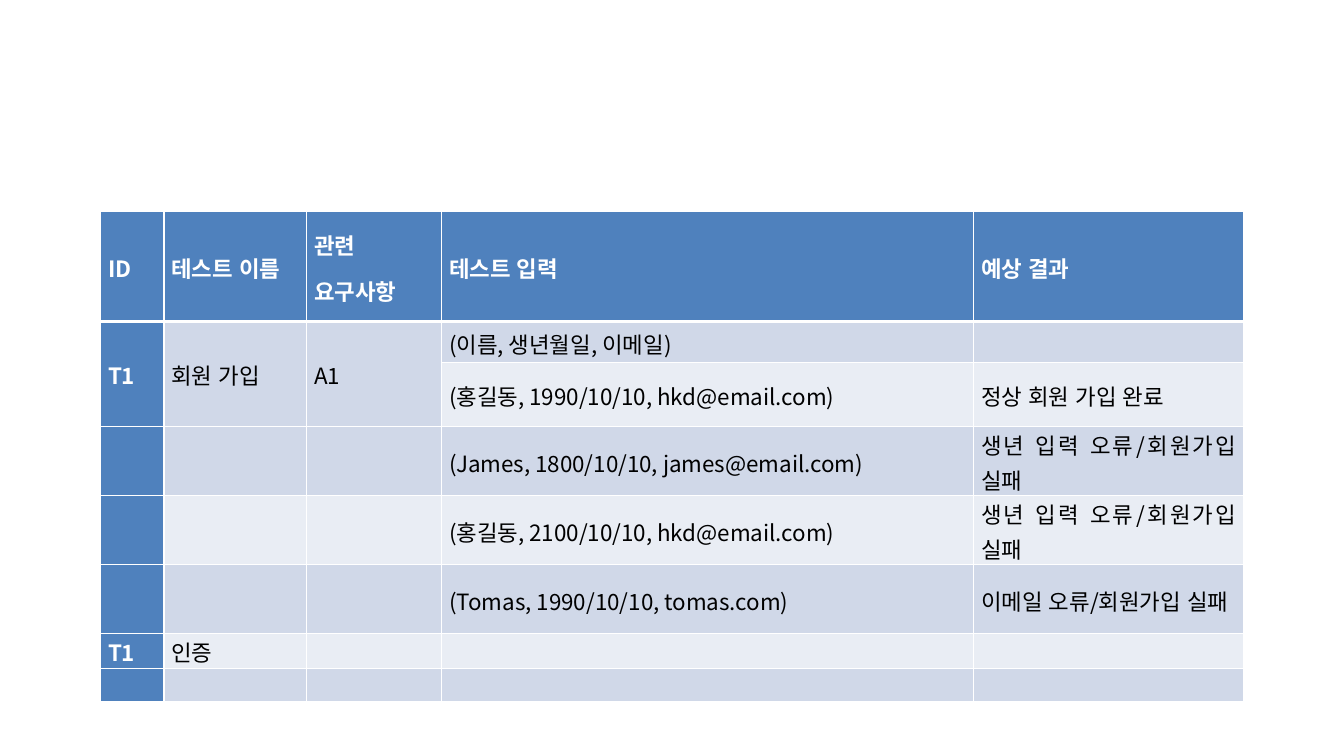
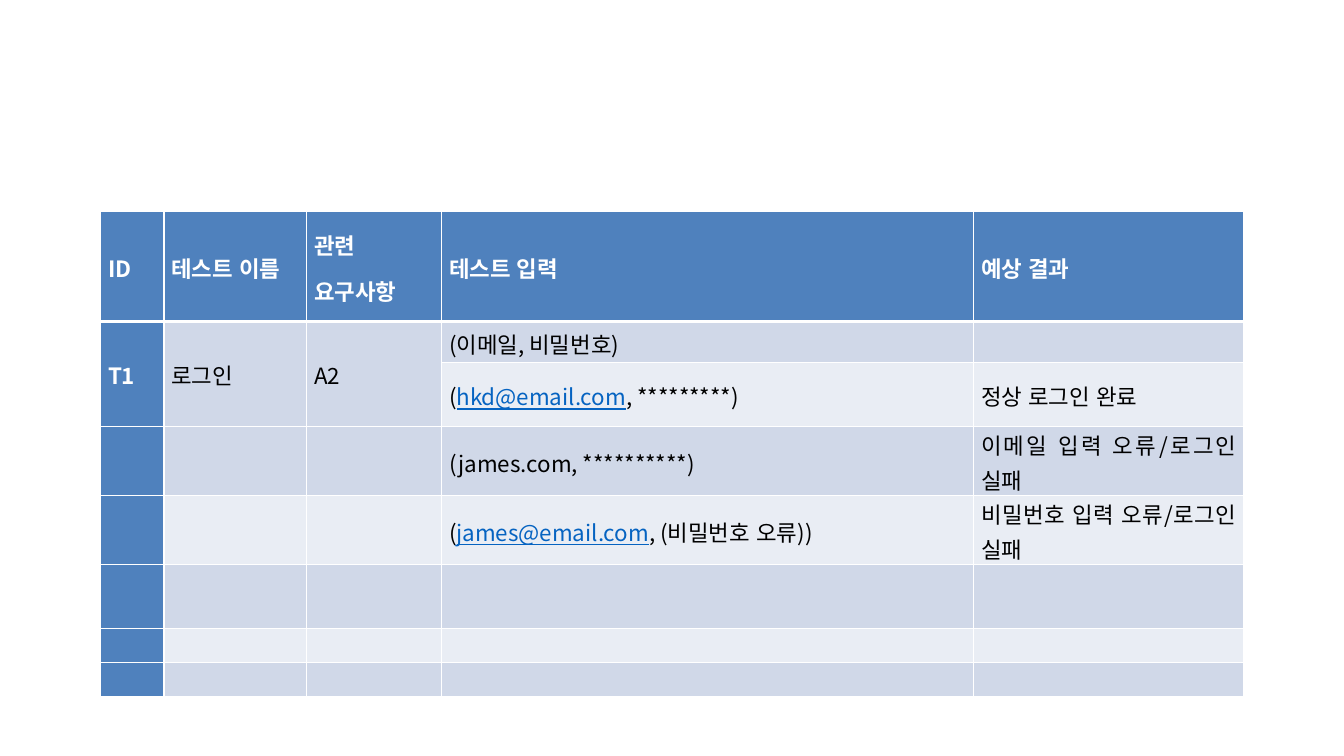
from lxml.etree import SubElement
from pptx import Presentation
from pptx.dml.color import RGBColor
from pptx.enum.lang import MSO_LANGUAGE_ID
from pptx.enum.text import MSO_ANCHOR, PP_ALIGN
from pptx.oxml.ns import qn
from pptx.util import Pt

FONT = "Noto Sans CJK KR"
WHITE, BLACK, LINK = "FFFFFF", "000000", "0563C1"
HEADING_FILL, ODD_FILL, EVEN_FILL = "4F81BD", "D0D8E8", "E9EDF4"

TABLE_BOX = (72, 151.2, 816.5, 334.8)
COLUMN_WIDTHS = (45.2, 102, 96.4, 380, 192.9)
ROW_HEIGHTS = (78.5, 29.5, 45.6, 45.6, 45.6, 45.6, 24.2, 24.2)
HEADINGS = ("ID", "테스트 이름", "관련 \n요구사항", "테스트 입력", "예상 결과")

# Text between bars is shown as an underlined address.
SIGN_UP_CASES = [
    ("T1", "회원 가입", "A1", "(이름, 생년월일, 이메일)", ""),
    ("", "", "", "(홍길동, 1990/10/10, hkd@email.com)", "정상 회원 가입 완료"),
    ("", "", "", "(James, 1800/10/10, james@email.com)", "생년 입력 오류/회원가입 실패"),
    ("", "", "", "(홍길동, 2100/10/10, hkd@email.com)", "생년 입력 오류/회원가입 실패"),
    ("", "", "", "(Tomas, 1990/10/10, tomas.com)", "이메일 오류/회원가입 실패"),
    ("T1", "인증", "", "", ""),
]
LOGIN_CASES = [
    ("T1", "로그인", "A2", "(이메일, 비밀번호)", ""),
    ("", "", "", "(|hkd@email.com|, *********)", "정상 로그인 완료"),
    ("", "", "", "(james.com, **********)", "이메일 입력 오류/로그인 실패"),
    ("", "", "", "(|james@email.com|, (비밀번호 오류))", "비밀번호 입력 오류/로그인 실패"),
]


def rgb(value):
    """Turn a hex string into a colour."""
    return RGBColor.from_string(value)


def write_text(frame, text, color=BLACK, bold=False, size=16):
    """Write justified paragraphs, underlining the parts between bars."""
    for number, line in enumerate(text.split("\n")):
        paragraph = frame.add_paragraph() if number else frame.paragraphs[0]
        paragraph.alignment = PP_ALIGN.JUSTIFY
        paragraph.line_spacing = 1.07
        paragraph.space_after = Pt(8)
        for position, part in enumerate(line.split("|")):
            is_address = position % 2 == 1
            run = paragraph.add_run()
            run.text = part
            font = run.font
            font.name, font.size, font.bold = FONT, Pt(size), bold
            font.language_id = MSO_LANGUAGE_ID.KOREAN
            font.underline = is_address
            font.color.rgb = rgb(LINK if is_address else color)
            SubElement(run._r.get_or_add_rPr(), qn("a:ea"), typeface=FONT)


def draw_borders(cell, top, bottom):
    """Give a cell white borders, with the given top and bottom widths."""
    properties = cell._tc.get_or_add_tcPr()
    for edge, width in (("L", 1), ("R", 1), ("T", top), ("B", bottom)):
        border = SubElement(properties, qn(f"a:ln{edge}"), w=str(Pt(width)))
        fill = SubElement(border, qn("a:solidFill"))
        SubElement(fill, qn("a:srgbClr"), val=WHITE)


def format_cell(cell, row, column, text):
    """Fill and label one cell according to its place in the table."""
    is_heading = row == 0 or column == 0
    draw_borders(cell, 3 if row == 1 else 1, 3 if row == 0 else 1)
    cell.fill.solid()
    band = ODD_FILL if row % 2 else EVEN_FILL
    cell.fill.fore_color.rgb = rgb(HEADING_FILL if is_heading else band)
    cell.vertical_anchor = MSO_ANCHOR.MIDDLE
    cell.margin_left = cell.margin_right = Pt(5.2)
    cell.margin_top = cell.margin_bottom = Pt(0)
    if text:
        write_text(cell.text_frame, text, bold=is_heading,
                   color=WHITE if is_heading else BLACK)


def add_test_table(slide, box, cases):
    """Place the table of test cases in the box, padded with empty rows."""
    row_count, column_count = len(ROW_HEIGHTS), len(COLUMN_WIDTHS)
    table = slide.shapes.add_table(row_count, column_count, *map(Pt, box)).table
    table.first_row = table.horz_banding = False
    for column, width in zip(table.columns, COLUMN_WIDTHS):
        column.width = Pt(width)
    for row, height in zip(table.rows, ROW_HEIGHTS):
        row.height = Pt(height)
    for column in range(3):
        table.cell(1, column).merge(table.cell(2, column))
    empty_rows = [("",) * column_count] * (row_count - 1 - len(cases))
    for row, texts in enumerate([HEADINGS, *cases, *empty_rows]):
        for column, text in enumerate(texts):
            format_cell(table.cell(row, column), row, column, text)


def add_test_slide(deck, cases):
    """Add a slide that holds one table of test cases."""
    slide = deck.slides.add_slide(deck.slide_layouts[6])
    add_test_table(slide, TABLE_BOX, cases)


deck = Presentation()
deck.slide_width, deck.slide_height = Pt(960), Pt(540)
for test_cases in (SIGN_UP_CASES, LOGIN_CASES):
    add_test_slide(deck, test_cases)
deck.save("out.pptx")
